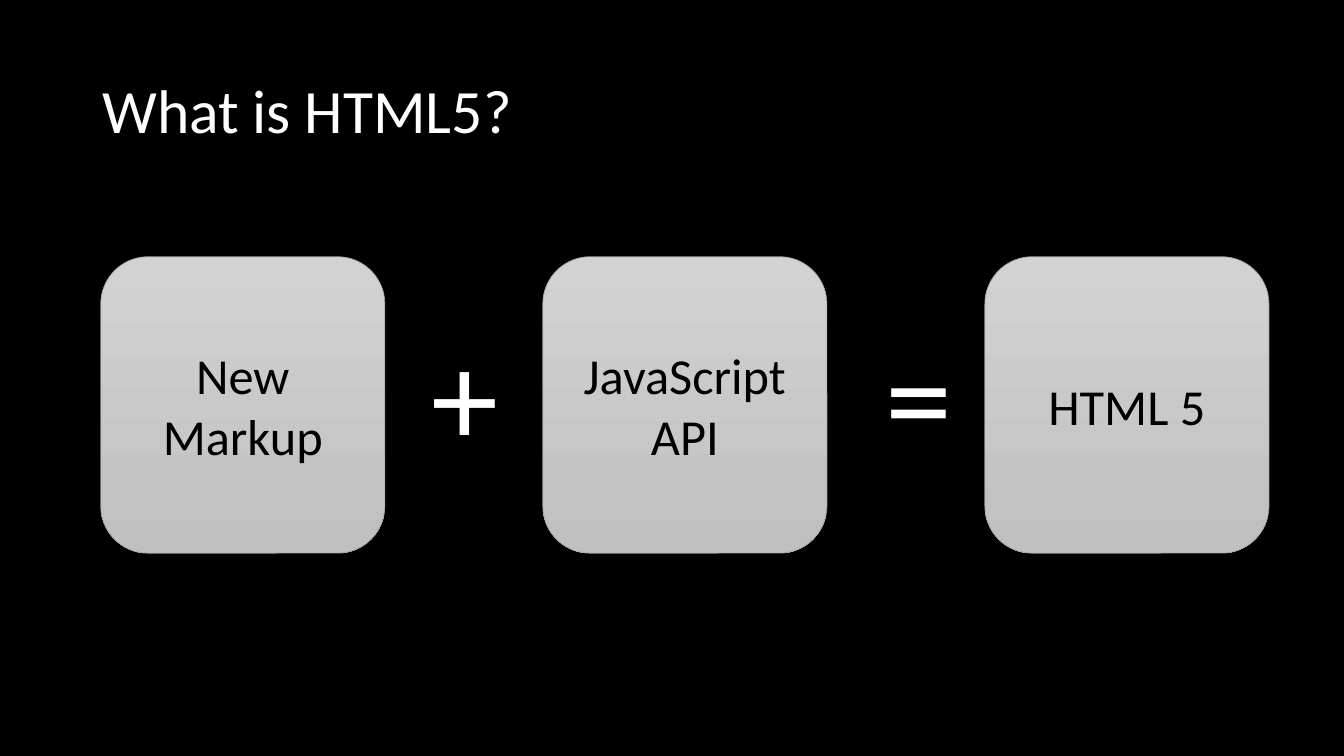
import pptx
import pptx.util
import pptx.dml.color
import pptx.enum.shapes
import pptx.enum.text

Cm = pptx.util.Cm
Pt = pptx.util.Pt


def color(hex_value):
    return pptx.dml.color.RGBColor.from_string(hex_value)


def write(shape, text, size, hex_value):
    paragraph = shape.text_frame.paragraphs[0]
    run = paragraph.add_run()
    run.text = text
    run.font.name = "Calibri"
    run.font.size = Pt(size)
    run.font.color.rgb = color(hex_value)
    return paragraph


deck = pptx.Presentation()
deck.slide_width = Cm(33.87)
deck.slide_height = Cm(19.05)
slide = deck.slides.add_slide(deck.slide_layouts[6])
slide.background.fill.solid()
slide.background.fill.fore_color.rgb = color("000000")

heading = slide.shapes.add_textbox(Cm(2.33), Cm(1.01), Cm(29.21), Cm(3.68))
heading.text_frame.word_wrap = True
heading.text_frame.vertical_anchor = pptx.enum.text.MSO_ANCHOR.MIDDLE
write(heading, "What is HTML5?", 44, "FFFFFF").line_spacing = 0.9

for column, ingredient in enumerate(["New Markup", "JavaScript API", "HTML 5"]):
    tile = slide.shapes.add_shape(
        pptx.enum.shapes.MSO_SHAPE.ROUNDED_RECTANGLE,
        Cm(2.54 + column * 11.14), Cm(6.47), Cm(7.16), Cm(7.47))
    tile.shadow.inherit = False
    tile.fill.gradient()
    tile.fill.gradient_angle = 270
    for stop, (position, shade) in zip(tile.fill.gradient_stops, [(0, "D2D2D2"), (1, "C0C0C0")]):
        stop.position = position
        stop.color.rgb = color(shade)
    tile.line.color.rgb = color("A5A5A5")
    tile.line.width = Pt(0.5)
    tile.text_frame.word_wrap = True
    tile.text_frame.vertical_anchor = pptx.enum.text.MSO_ANCHOR.MIDDLE
    write(tile, ingredient, 36, "000000").alignment = pptx.enum.text.PP_ALIGN.CENTER

for operator, left in [("+", 10.62), ("=", 22.07)]:
    sign = slide.shapes.add_textbox(Cm(left), Cm(7.73), Cm(2.21), Cm(4.37))
    sign.text_frame.word_wrap = False
    sign.text_frame.auto_size = pptx.enum.text.MSO_AUTO_SIZE.SHAPE_TO_FIT_TEXT
    write(sign, operator, 96, "FFFFFF")

deck.save("out.pptx")
